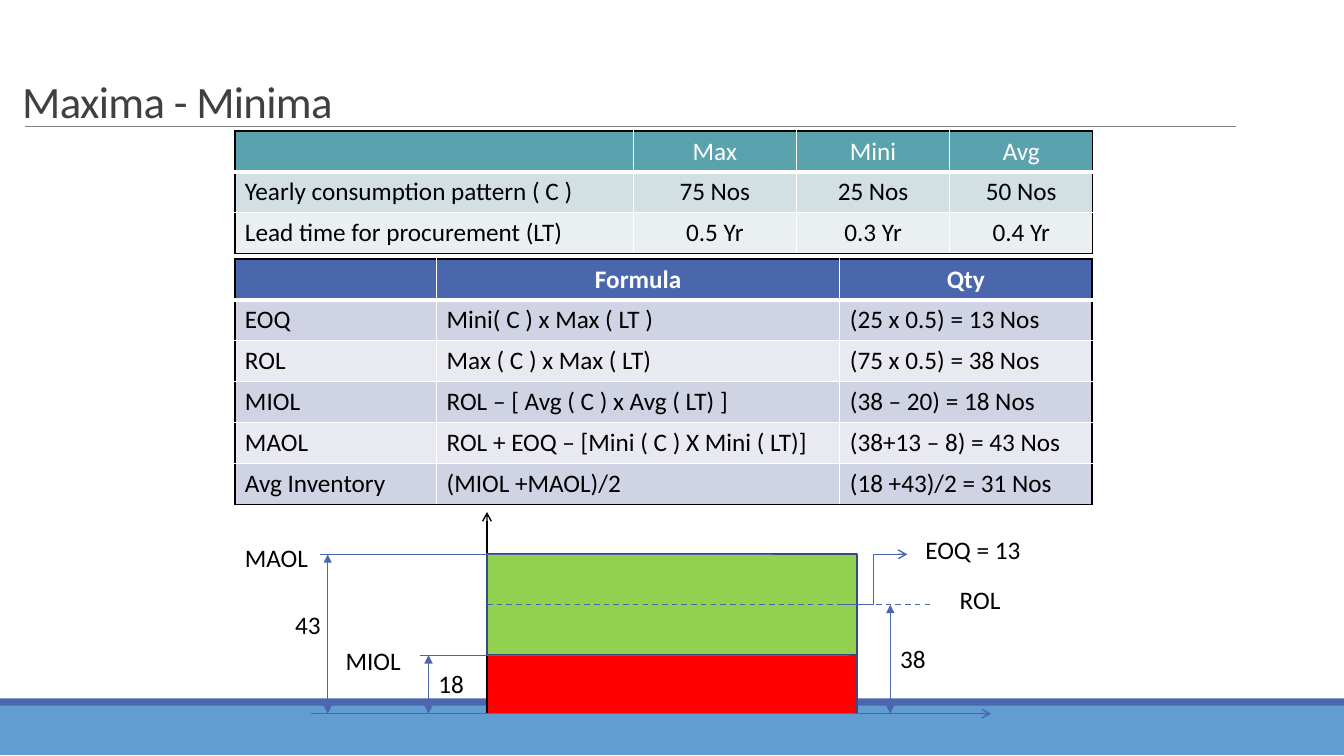
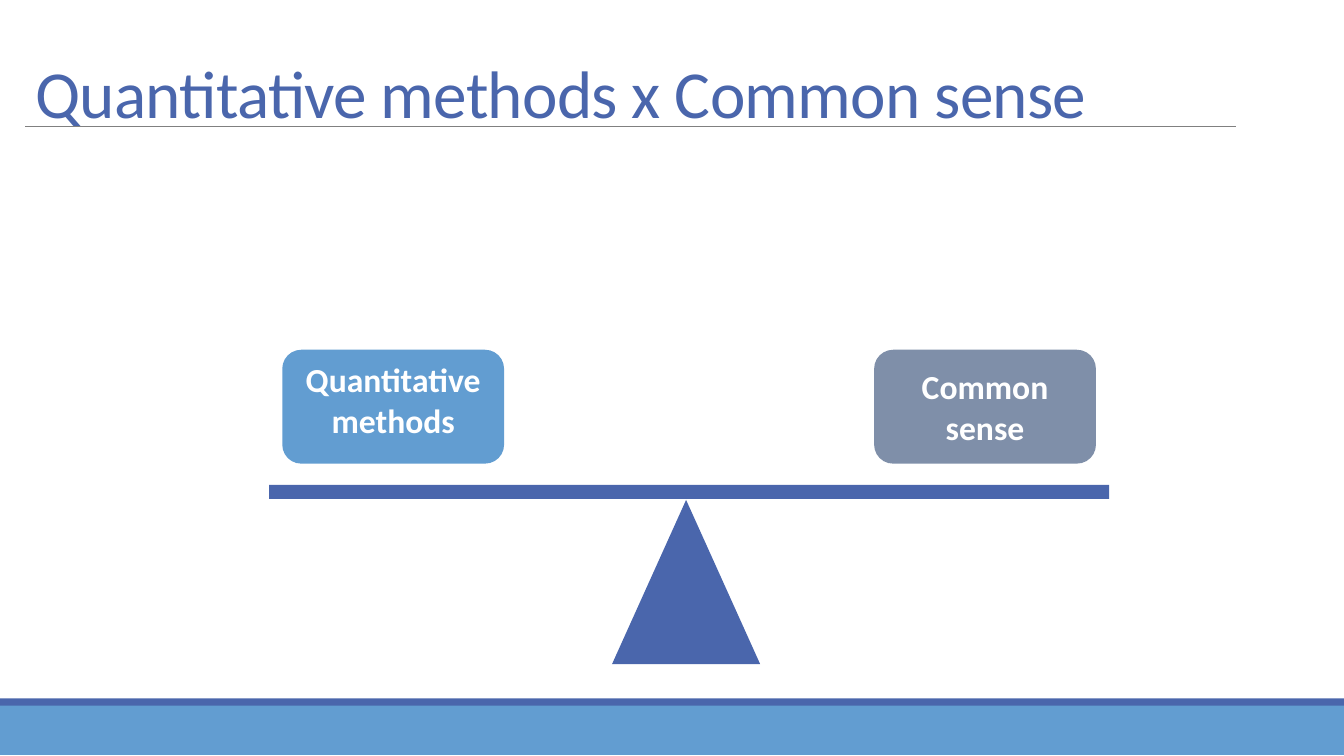
from dataclasses import dataclass

from lxml.etree import SubElement
from pptx import Presentation
from pptx.dml.color import RGBColor
from pptx.enum.dml import MSO_LINE
from pptx.enum.shapes import MSO_CONNECTOR as LINK, MSO_SHAPE as SHAPE
from pptx.enum.text import MSO_ANCHOR as ANCHOR, MSO_AUTO_SIZE as FIT, PP_ALIGN as ALIGN
from pptx.oxml.ns import qn
from pptx.util import Inches, Pt


@dataclass(frozen=True)
class Theme:
    font: str = "Calibri"
    body_size: int = 18
    box_size: int = 24
    navy: str = "4A66AC"
    sky: str = "629DD1"
    slate: str = "7F8FA9"
    teal: str = "5AA2AE"
    teal_bands: tuple = ("D2E0E3", "EAF0F2")
    navy_bands: tuple = ("D0D3E3", "E9EAF1")
    outline: str = "374B7F"
    green: str = "92D050"
    red: str = "FF0000"
    rule: str = "808080"
    title: str = "404040"
    black: str = "000000"
    white: str = "FFFFFF"


THEME = Theme()


def rgb(color):
    return RGBColor.from_string(color)


class Deck:
    def __init__(self, theme):
        self.theme = theme
        self.prs = Presentation()
        self.prs.slide_width, self.prs.slide_height = Inches(13.33), Inches(7.5)
        self.slide = None

    def new_slide(self, title, box, size, color):
        """Start a slide with the shared footer bands, title rule and title."""
        self.slide = self.prs.slides.add_slide(self.prs.slide_layouts[5])
        self.shape(SHAPE.RECTANGLE, (0, 6.99, 13.33, 0.5), self.theme.sky)
        self.shape(SHAPE.RECTANGLE, (0, 6.93, 13.33, 0.07), self.theme.navy)
        self.line((0.25, 1.25), (12.26, 1.25), self.theme.rule, 0.5)
        heading = self.slide.shapes.title
        heading.left, heading.top, heading.width, heading.height = map(Inches, box)
        frame = heading.text_frame
        frame.auto_size = FIT.NONE
        frame.vertical_anchor = ANCHOR.BOTTOM
        frame.text = title
        paragraph = frame.paragraphs[0]
        paragraph.line_spacing = 0.85
        self.style(paragraph, color, size)
        paragraph._p.pPr.find(qn("a:defRPr")).set("spc", "-50")

    def style(self, paragraph, color, size=None, bold=False, align=ALIGN.LEFT):
        paragraph.alignment = align
        font = paragraph.font
        font.name, font.size, font.bold = self.theme.font, Pt(size or self.theme.body_size), bold
        font.color.rgb = rgb(color)

    def shape(self, kind, box, fill, outline=None):
        shape = self.slide.shapes.add_shape(kind, *map(Inches, box))
        shape.shadow.inherit = False
        shape.fill.solid()
        shape.fill.fore_color.rgb = rgb(fill)
        if outline:
            shape.line.color.rgb = rgb(outline)
            shape.line.width = Pt(1.25)
        else:
            shape.line.fill.background()
        return shape

    def labelled_box(self, text, box, fill, anchor):
        frame = self.shape(SHAPE.ROUNDED_RECTANGLE, box, fill).text_frame
        frame.word_wrap = True
        frame.vertical_anchor = anchor
        frame.margin_left = frame.margin_right = Inches(0.09)
        frame.margin_top = frame.margin_bottom = Inches(0.04)
        frame.text = text
        self.style(frame.paragraphs[0], self.theme.white, self.theme.box_size, True, ALIGN.CENTER)

    def label(self, text, left, top, width):
        frame = self.slide.shapes.add_textbox(*map(Inches, (left, top, width, 0.4))).text_frame
        frame.word_wrap = True
        frame.auto_size = FIT.SHAPE_TO_FIT_TEXT
        frame.text = text
        self.style(frame.paragraphs[0], self.theme.black)

    def line(self, start, end, color=None, width=1, head=None, tail=None, kind=LINK.STRAIGHT):
        line = self.slide.shapes.add_connector(kind, *map(Inches, start + end))
        line.line.color.rgb = rgb(color or self.theme.navy)
        line.line.width = Pt(width)
        properties = line._element.spPr
        for tag, arrow in (("a:headEnd", head), ("a:tailEnd", tail)):
            if arrow:
                SubElement(properties.find(qn("a:ln")), qn(tag), type=arrow)
        SubElement(properties, qn("a:effectLst"))
        return line

    def dimension(self, x, top, bottom):
        """Vertical measure with an arrowhead at both ends."""
        self.line((x, top), (x, bottom), head="triangle", tail="triangle")

    def cell_borders(self, cell, borders):
        for tag, (color, width) in borders.items():
            edge = SubElement(cell._tc.get_or_add_tcPr(), qn(tag), w=str(Pt(width)))
            fill = SubElement(edge, qn("a:solidFill"))
            SubElement(fill, qn("a:srgbClr"), val=color)

    def table(self, left, top, widths, rows, header_fill, bands, bold_header, centred):
        """Banded table; columns in `centred` are centred below the header too."""
        row_height = 0.405
        table = self.slide.shapes.add_table(
            len(rows), len(widths), Inches(left), Inches(top),
            Inches(sum(widths)), Inches(row_height * len(rows))).table
        table.first_row = table.horz_banding = False
        for column, width in zip(table.columns, widths):
            column.width = Inches(width)
        outer, inner, thick = (self.theme.black, 1), (self.theme.white, 1), (self.theme.white, 3)
        last_row, last_column = len(rows) - 1, len(widths) - 1
        for r, row in enumerate(rows):
            table.rows[r].height = Inches(row_height)
            header = r == 0
            for c, text in enumerate(row):
                cell = table.cell(r, c)
                self.cell_borders(cell, {
                    "a:lnL": outer if c == 0 else inner,
                    "a:lnR": outer if c == last_column else inner,
                    "a:lnT": outer if header else inner,
                    "a:lnB": thick if header else outer if r == last_row else inner,
                })
                cell.fill.solid()
                cell.fill.fore_color.rgb = rgb(header_fill if header else bands[(r - 1) % 2])
                cell.text = text
                self.style(cell.text_frame.paragraphs[0],
                           self.theme.white if header else self.theme.black,
                           bold=header and bold_header,
                           align=ALIGN.CENTER if header or c in centred else ALIGN.LEFT)


def stock_levels(deck):
    """Chart of the order levels between the stock axis and the time axis."""
    theme = deck.theme
    maol, rol, miol, base = 5.5, 6, 6.5, 7.08
    axis, width = 4.83, 3.67
    deck.shape(SHAPE.RECTANGLE, (axis, miol, width, base - miol), theme.red, theme.outline)
    deck.line((axis, base), (axis, 5.08), theme.black, tail="arrow")
    deck.line((3.08, base), (9.83, base), tail="arrow")
    order_stock = deck.shape(
        SHAPE.RECTANGLE, (axis, maol, width, miol - maol), theme.green, theme.outline)
    deck.line((4.17, miol), (8.42, miol))
    deck.line((3.17, maol), (7.67, maol))
    reorder = deck.line((axis, rol), (9.25, rol))
    reorder.line.dash_style = MSO_LINE.DASH
    reorder.begin_connect(order_stock, 1)
    deck.line((8.33, rol), (9, maol), tail="arrow", kind=LINK.ELBOW)
    for x, level in ((4.25, miol), (3.25, maol), (8.83, rol)):
        deck.dimension(x, level, base)
    for text, left, top, label_width in (
            ("MIOL", 3.33, 6.35, 0.83), ("MAOL", 2.33, 5.33, 1.08),
            ("18", 4.25, 6.58, 0.5), ("43", 2.83, 6, 0.5), ("38", 8.83, 6.33, 0.5),
            ("ROL", 9.42, 5.75, 0.75), ("EOQ = 13", 9.08, 5.25, 1.67)):
        deck.label(text, left, top, label_width)


def maxima_minima(deck):
    theme = deck.theme
    deck.new_slide("Maxima - Minima", (0.12, 0.62, 9, 0.7), 32, theme.title)
    consumption = [
        ("", "Max", "Mini", "Avg"),
        ("Yearly consumption pattern ( C )", "75 Nos", "25 Nos", "50 Nos"),
        ("Lead time for procurement (LT)", "0.5 Yr", "0.3 Yr", "0.4 Yr"),
    ]
    formulas = [
        ("", "Formula", "Qty"),
        ("EOQ", "Mini( C ) x Max ( LT )", "(25 x 0.5) = 13 Nos"),
        ("ROL", "Max ( C ) x Max ( LT)", "(75 x 0.5) = 38 Nos"),
        ("MIOL", "ROL – [ Avg ( C ) x Avg ( LT) ]", "(38 – 20) = 18 Nos"),
        ("MAOL", "ROL + EOQ – [Mini ( C ) X Mini ( LT)]", "(38+13 – 8) = 43 Nos"),
        ("Avg Inventory", "(MIOL +MAOL)/2", "(18 +43)/2 = 31 Nos"),
    ]
    deck.table(2.33, 1.3, (3.95, 1.62, 1.52, 1.42), consumption,
               theme.teal, theme.teal_bands, False, (1, 2, 3))
    deck.table(2.33, 2.57, (2, 4, 2.5), formulas,
               theme.navy, theme.navy_bands, True, ())
    stock_levels(deck)


def balance(deck):
    theme = deck.theme
    deck.new_slide("Quantitative methods x Common sense",
                   (0.25, 0.42, 11.95, 0.94), 48, theme.navy)
    deck.shape(SHAPE.ISOSCELES_TRIANGLE, (6.07, 4.96, 1.47, 1.63), theme.navy)
    deck.shape(SHAPE.RECTANGLE, (2.67, 4.81, 8.33, 0.14), theme.navy)
    for text, left, fill, anchor in (
            ("Quantitative methods", 2.8, theme.sky, ANCHOR.TOP),
            ("Common sense", 8.67, theme.slate, ANCHOR.MIDDLE)):
        deck.labelled_box(text, (left, 3.47, 2.2, 1.13), fill, anchor)


def main():
    deck = Deck(THEME)
    maxima_minima(deck)
    balance(deck)
    deck.prs.save("out.pptx")


if __name__ == "__main__":
    main()
